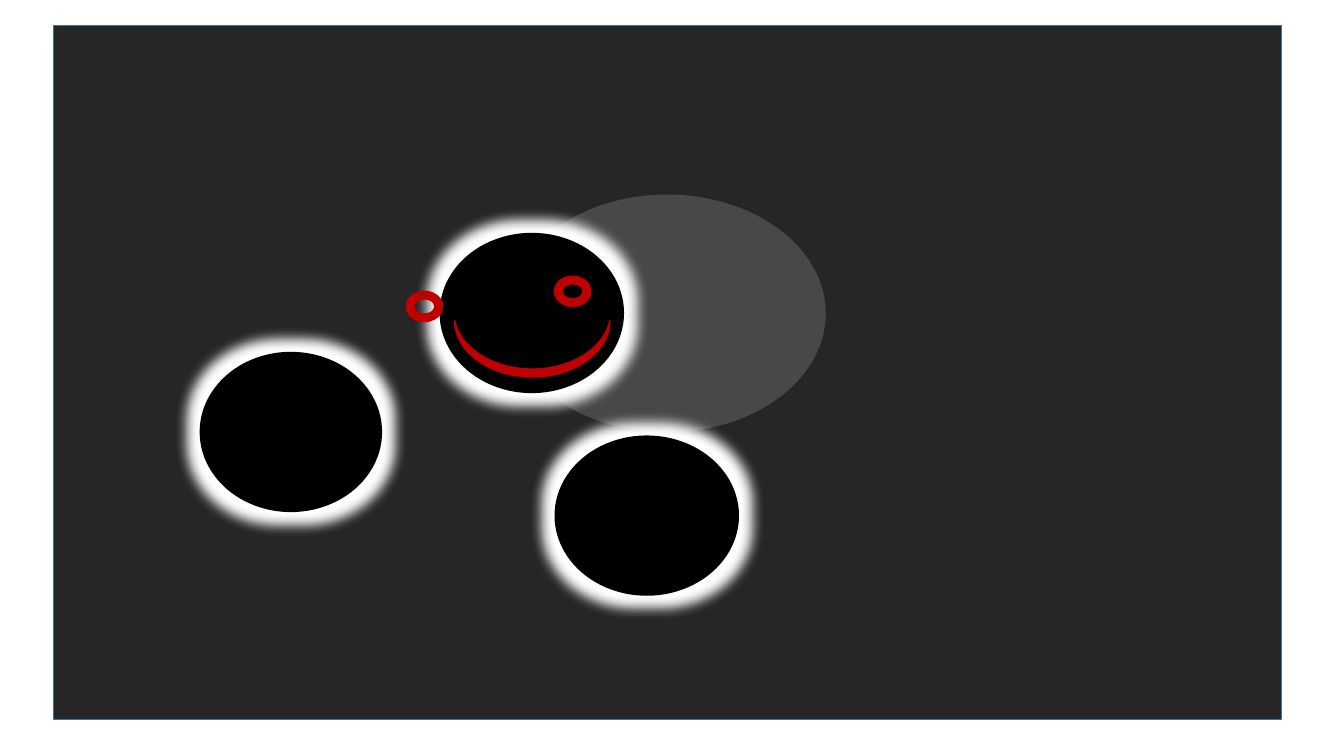
from lxml.etree import SubElement
from pptx import Presentation
from pptx.dml.color import RGBColor
from pptx.enum.shapes import MSO_SHAPE
from pptx.oxml.ns import qn
from pptx.util import Inches, Pt

BLACK, WHITE, RED, BLUE = "000000", "FFFFFF", "C00000", "43739E"
GLOW_RADIUS = Pt(18)


def color(hex_string):
    return RGBColor.from_string(hex_string)


def add_figure(slide, kind, box, fill, line=None, opacity=100):
    """Add a preset shape; box is left, top, width, height in inches."""
    shape = slide.shapes.add_shape(kind, *(Inches(length) for length in box))
    shape.shadow.inherit = False
    shape.fill.solid()
    shape.fill.fore_color.rgb = color(fill)
    if opacity < 100:
        fill_color = shape.fill._xPr.find(qn("a:solidFill"))[0]
        SubElement(fill_color, qn("a:alpha"), val=str(opacity * 1000))
    if line:
        shape.line.color.rgb = color(line)
        shape.line.width = Pt(1)
    else:
        shape.line.fill.background()
    return shape


def add_glow(shape, hex_string):
    effects = shape._element.spPr.find(qn("a:effectLst"))
    glow = SubElement(effects, qn("a:glow"), rad=str(GLOW_RADIUS))
    SubElement(glow, qn("a:srgbClr"), val=hex_string)


def add_backdrop(slide, box):
    left, top, _, _ = box
    add_figure(slide, MSO_SHAPE.RECTANGLE, box, BLACK, BLUE, opacity=85)
    halo_box = (left + 4.51, top + 1.68, 3.15, 2.36)
    add_figure(slide, MSO_SHAPE.OVAL, halo_box, WHITE, opacity=16)


def add_glowing_disc(slide, box):
    disc = add_figure(slide, MSO_SHAPE.FLOWCHART_CONNECTOR, box, BLACK)
    add_glow(disc, WHITE)


def add_face(slide, box):
    """Add the smile and the two eyes over the disc in the box."""
    left, top, _, _ = box
    smile_box = (left + 0.64, top + 0.38, 0.56, 1.54)
    smile = add_figure(slide, MSO_SHAPE.MOON, smile_box, RED, RED)
    smile.rotation = 270
    smile.adjustments[0] = 0.141
    for across, down in ((-0.33, 0.58), (1.14, 0.43)):
        eye_box = (left + across, top + down, 0.36, 0.3)
        add_figure(slide, MSO_SHAPE.DONUT, eye_box, RED, RED)


def main():
    presentation = Presentation()
    presentation.slide_width = Inches(13.33)
    presentation.slide_height = Inches(7.5)
    slide = presentation.slides.add_slide(presentation.slide_layouts[6])

    add_backdrop(slide, (0.53, 0.25, 12.18, 6.89))
    head_box = (4.36, 2.31, 1.83, 1.59)
    for disc_box in (head_box, (5.5, 4.32, 1.83, 1.59), (1.98, 3.49, 1.81, 1.59)):
        add_glowing_disc(slide, disc_box)
    add_face(slide, head_box)

    presentation.save("out.pptx")


if __name__ == "__main__":
    main()
